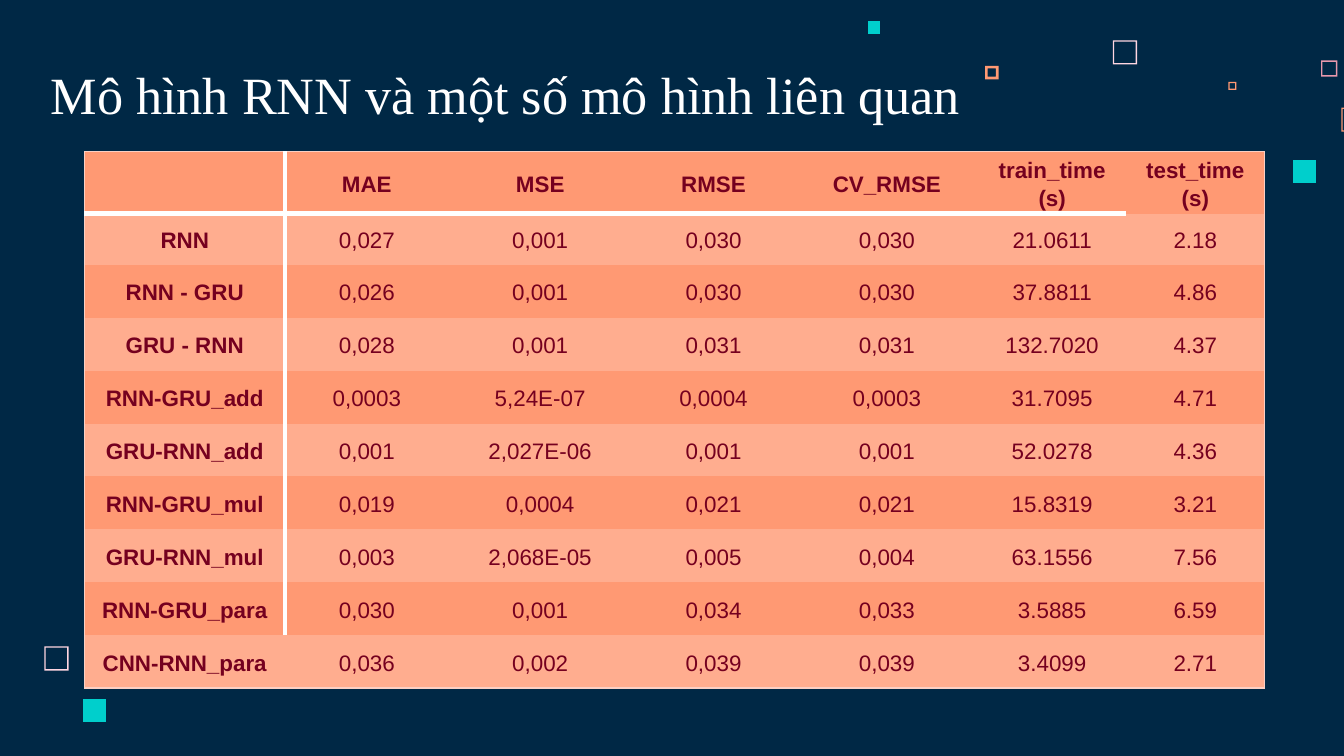
"""Build a slide with a table comparing RNN models on a navy background."""
import pptx
import pptx.dml.color
import pptx.enum.text
import pptx.oxml
import pptx.oxml.ns
import pptx.util

COLORS = {
    "navy": "002845", "white": "FFFFFF", "pink": "FFD6E1", "rose": "E898AC",
    "orange": "FF9973", "band": "FFAD8F", "teal": "00CFCC", "wine": "75001F",
    "edge": "FBCFC3",
}
SLIDE_WIDTH = 10
SLIDE_SIZE = (SLIDE_WIDTH, SLIDE_WIDTH * 9 / 16)
TITLE = "Mô hình RNN và một số mô hình liên quan"
TITLE_BOX = (0.28, 0.4, 7.67, 0.63)
HEADER = ["", "MAE", "MSE", "RMSE", "CV_RMSE", "train_time (s)", "test_time (s)"]
MODELS = [
    ["RNN", "0,027", "0,001", "0,030", "0,030", "21.0611", "2.18"],
    ["RNN - GRU", "0,026", "0,001", "0,030", "0,030", "37.8811", "4.86"],
    ["GRU - RNN", "0,028", "0,001", "0,031", "0,031", "132.7020", "4.37"],
    ["RNN-GRU_add", "0,0003", "5,24E-07", "0,0004", "0,0003", "31.7095", "4.71"],
    ["GRU-RNN_add", "0,001", "2,027E-06", "0,001", "0,001", "52.0278", "4.36"],
    ["RNN-GRU_mul", "0,019", "0,0004", "0,021", "0,021", "15.8319", "3.21"],
    ["GRU-RNN_mul", "0,003", "2,068E-05", "0,005", "0,004", "63.1556", "7.56"],
    ["RNN-GRU_para", "0,030", "0,001", "0,034", "0,033", "3.5885", "6.59"],
    ["CNN-RNN_para", "0,036", "0,002", "0,039", "0,039", "3.4099", "2.71"],
]
TABLE_LEFT, TABLE_TOP, TABLE_HEIGHT = 0.63, 1.13, 3.97
COLUMN_WIDTHS = [1.49, 1.22, 1.36, 1.22, 1.36, 1.1, 1.03]
ROWS_HEIGHT, HEADER_HEIGHT, FIRST_ROW_HEIGHT = 3.92, 0.39, 0.38
PLAIN_STYLE = "{2D5ABB26-0587-4C30-8999-92F81FD0307C}"
SQUARES = [
    (8.28, 0.3, 0.18, "pink", 0.01), (9.83, 0.45, 0.12, "rose", 0.01),
    (9.14, 0.61, 0.06, "orange", 0.01), (9.98, 0.8, 0.18, "orange", 0.01),
    (9.62, 1.19, 0.17, "teal", 0), (7.33, 0.49, 0.1, "orange", 0.02),
    (6.46, 0.16, 0.09, "teal", 0), (0.33, 4.81, 0.18, "pink", 0.01),
    (0.62, 5.2, 0.17, "teal", 0),
]


def inches(*values):
    return [pptx.util.Inches(value) for value in values]


def rgb(name):
    return pptx.dml.color.RGBColor.from_string(COLORS[name])


def style_font(paragraph, name, size, color, bold=False):
    for run in paragraph.runs:
        run.font.name = name
        run.font.size = pptx.util.Pt(size)
        run.font.color.rgb = rgb(color)
        run.font.bold = bold


def add_square(slide, left, top, side, color, thickness):
    right, bottom = left + side, top + side
    outer = [(left, top), (left, bottom), (right, bottom), (right, top)]
    builder = slide.shapes.build_freeform(*inches(left, top), scale=1.0)
    builder.add_line_segments([inches(*point) for point in outer[1:]], close=True)
    if thickness:
        near, far = thickness, side - thickness
        inner = [(far, near), (far, far), (near, far), (near, near)]
        corners = [inches(left + x, top + y) for x, y in inner]
        builder.move_to(*corners[0])
        builder.add_line_segments(corners[1:], close=True)
    shape = builder.convert_to_shape()
    shape.shadow.inherit = False
    shape.fill.solid()
    shape.fill.fore_color.rgb = rgb(color)
    shape.line.fill.background()


def add_title(slide):
    text_frame = slide.shapes.add_textbox(*inches(*TITLE_BOX)).text_frame
    text_frame.word_wrap = True
    text_frame.vertical_anchor = pptx.enum.text.MSO_ANCHOR.BOTTOM
    for side in ("left", "top", "right", "bottom"):
        setattr(text_frame, f"margin_{side}", pptx.util.Inches(0.1))
    text_frame.text = TITLE
    style_font(text_frame.paragraphs[0], "Times New Roman", 28, "white")


def cell_borders(row, column):
    last_row, last_column = len(MODELS), len(HEADER) - 1
    borders = {}
    if column == 0:
        borders["L"] = ("edge", 0.75)
        if row < last_row:
            borders["R"] = ("white", 2)
    if column == last_column:
        borders["R"] = ("edge", 0.75)
    if row == 0:
        borders["T"] = ("edge", 0.75)
        if column < last_column:
            borders["B"] = ("white", 3)
    if row == last_row:
        borders["B"] = ("edge", 0.75)
    return borders


def draw_borders(cell, borders):
    properties = cell._tc.get_or_add_tcPr()
    sides = [side for side in "LRTB" if side in borders]
    for index, side in enumerate(sides):
        color, width = borders[side]
        properties.insert(index, pptx.oxml.parse_xml(
            f'<a:ln{side} {pptx.oxml.ns.nsdecls("a")} w="{pptx.util.Pt(width)}">'
            f'<a:solidFill><a:srgbClr val="{COLORS[color]}"/></a:solidFill></a:ln{side}>'))


def fill_cell(cell, text, row, column):
    cell.fill.solid()
    cell.fill.fore_color.rgb = rgb("band" if row % 2 else "orange")
    cell.margin_left = cell.margin_right = pptx.util.Inches(0.06)
    cell.margin_top = cell.margin_bottom = 0
    cell.vertical_anchor = pptx.enum.text.MSO_ANCHOR.MIDDLE
    cell.text_frame.text = text
    paragraph = cell.text_frame.paragraphs[0]
    paragraph.alignment = pptx.enum.text.PP_ALIGN.CENTER
    paragraph.line_spacing = 1.15
    style_font(paragraph, "Arial", 12, "wine", bold=row == 0 or column == 0)
    draw_borders(cell, cell_borders(row, column))


def add_model_table(slide):
    rows = [HEADER] + MODELS
    frame = slide.shapes.add_table(len(rows), len(HEADER), *inches(
        TABLE_LEFT, TABLE_TOP, sum(COLUMN_WIDTHS), TABLE_HEIGHT))
    table = frame.table
    table.horz_banding = False
    table._tbl.tblPr.find(pptx.oxml.ns.qn("a:tableStyleId")).text = PLAIN_STYLE
    for column, width in zip(table.columns, COLUMN_WIDTHS):
        column.width = pptx.util.Inches(width)
    other_rows = len(rows) - 2
    other_height = (ROWS_HEIGHT - HEADER_HEIGHT - FIRST_ROW_HEIGHT) / other_rows
    heights = [HEADER_HEIGHT, FIRST_ROW_HEIGHT] + [other_height] * other_rows
    for row, height in zip(table.rows, heights):
        row.height = pptx.util.Inches(height)
    frame.height = pptx.util.Inches(TABLE_HEIGHT)
    for row, texts in enumerate(rows):
        for column, text in enumerate(texts):
            fill_cell(table.cell(row, column), text, row, column)


def main():
    presentation = pptx.Presentation()
    presentation.slide_width, presentation.slide_height = inches(*SLIDE_SIZE)
    slide = presentation.slides.add_slide(presentation.slide_layouts[6])
    slide.background.fill.solid()
    slide.background.fill.fore_color.rgb = rgb("navy")
    for square in SQUARES:
        add_square(slide, *square)
    add_title(slide)
    add_model_table(slide)
    presentation.save("out.pptx")


if __name__ == "__main__":
    main()
